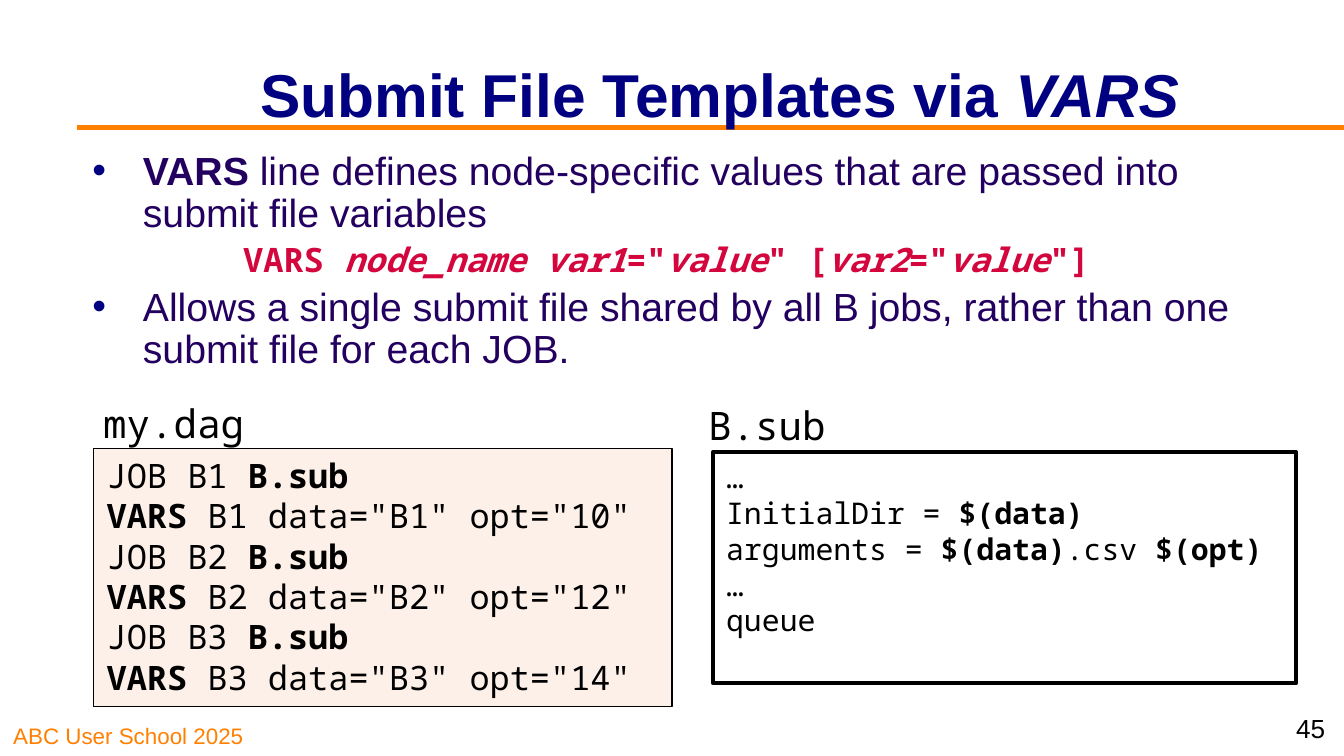
from lxml import etree
from pptx import Presentation
from pptx import util as u
from pptx.dml.color import RGBColor
from pptx.enum import shapes, text
from pptx.oxml import ns

PX = 4572
ORANGE = RGBColor(0xFF, 0x80, 0x00)
NAVY = RGBColor(0x00, 0x00, 0x80)
PURPLE = RGBColor(0x23, 0x00, 0x5F)
CRIMSON = RGBColor(0xD3, 0x06, 0x3E)
BLACK = RGBColor(0x00, 0x00, 0x00)
WHITE = RGBColor(0xFF, 0xFF, 0xFF)
CREAM = RGBColor(0xFD, 0xF0, 0xE9)
SANS, MONO = "Arial", "Noto Sans Mono"


def scale(*lengths):
    """Turn px lengths into EMU."""
    return [u.Emu(n * PX) for n in lengths]


def add_runs(p, runs, size, font, color):
    """Add (wording, style) runs, where the style holds b and i flags."""
    for wording, style in runs:
        r = p.add_run()
        r.text = wording
        r.font.size, r.font.name = u.Pt(size), font
        r.font.bold, r.font.italic = "b" in style, "i" in style
        r.font.color.rgb = color


def add_bullet(p):
    """Give a paragraph a navy hanging bullet."""
    pPr = p._p.get_or_add_pPr()
    indent = 75 * PX
    pPr.set("marL", str(indent))
    pPr.set("indent", str(-indent))
    clr = etree.SubElement(pPr, ns.qn("a:buClr"))
    etree.SubElement(clr, ns.qn("a:srgbClr")).set("val", str(NAVY))
    etree.SubElement(pPr, ns.qn("a:buFont")).set("typeface", SANS)
    etree.SubElement(pPr, ns.qn("a:buChar")).set("char", "•")


def add_label(s, box, wording, size, font, color, anchor=text.MSO_ANCHOR.TOP):
    """Place a one-line text box."""
    tf = s.shapes.add_textbox(*scale(*box)).text_frame
    tf.word_wrap = True
    tf.vertical_anchor = anchor
    add_runs(tf.paragraphs[0], [(wording, "")], size, font, color)


def add_title(s, box, runs):
    """Place the title over the rule that crosses its lower edge."""
    x, y, w, h = box
    rule_y = y + h - 43
    rule = s.shapes.add_connector(
        shapes.MSO_CONNECTOR.STRAIGHT, *scale(115, rule_y, 2000, rule_y))
    rule.line.color.rgb, rule.line.width = ORANGE, u.Pt(3)
    etree.SubElement(rule._element.spPr, ns.qn("a:effectLst"))
    sp = s.shapes.title
    sp.left, sp.top, sp.width, sp.height = scale(*box)
    rule._element.addnext(sp._element)
    tf = sp.text_frame
    tf.auto_size = text.MSO_AUTO_SIZE.NONE
    tf.vertical_anchor = text.MSO_ANCHOR.MIDDLE
    p = tf.paragraphs[0]
    p.alignment = text.PP_ALIGN.CENTER
    add_runs(p, runs, 32.4, SANS, NAVY)


def add_body(s, box, first, syntax, second):
    """Place two bullets with a centred line of syntax between them."""
    tf = s.shapes.add_textbox(*scale(*box)).text_frame
    tf.word_wrap = True
    rows = [(first, 21, SANS, PURPLE, 0), (syntax, 18, MONO, CRIMSON, 3.6),
            (second, 21, SANS, PURPLE, 4.2)]
    for i, (runs, size, font, color, before) in enumerate(rows):
        p = tf.add_paragraph() if i else tf.paragraphs[0]
        p.line_spacing, p.space_before = 0.9, u.Pt(before)
        if runs is syntax:
            p.alignment = text.PP_ALIGN.CENTER
        else:
            add_bullet(p)
        add_runs(p, runs, size, font, color)


def add_code(s, box, name, name_offset, lines, size, fill, weight):
    """Place a framed code listing with its file name above it."""
    x, y, w, h = box
    dx, dy, name_w = name_offset
    sp = s.shapes.add_shape(shapes.MSO_SHAPE.RECTANGLE, *scale(*box))
    sp.shadow.inherit = False
    sp.fill.solid()
    sp.fill.fore_color.rgb = fill
    sp.line.color.rgb, sp.line.width = BLACK, u.Pt(weight)
    tf = sp.text_frame
    tf.word_wrap = True
    tf.vertical_anchor = text.MSO_ANCHOR.TOP
    for i, runs in enumerate(lines):
        p = tf.add_paragraph() if i else tf.paragraphs[0]
        p.alignment = text.PP_ALIGN.LEFT
        add_runs(p, runs, size, MONO, BLACK)
    add_label(s, (x + dx, y + dy, name_w, 90), name, 21, MONO, BLACK)


def main():
    """Build and save the slide."""
    prs = Presentation()
    prs.slide_width, prs.slide_height = scale(2000, 1125)
    s = prs.slides.add_slide(prs.slide_layouts[5])
    add_label(s, (0, 1063, 496, 62), "ABC User School 2025", 12, SANS, ORANGE,
              text.MSO_ANCHOR.BOTTOM)
    add_title(s, (307, 45, 1528, 188),
              [("Submit File Templates via ", "b"), ("VARS", "bi")])
    add_body(
        s, (118, 216, 1748, 368),
        [("VARS", "b"), (" line defines node-specific values that are passed "
                         "into submit file variables", "")],
        [("VARS ", "b"), ("node_name var1", "bi"), ('="', "b"),
         ("value", "bi"), ('" [', "b"), ("var2", "bi"), ('="', "b"),
         ("value", "bi"), ('"]', "b")],
        [("Allows a single submit file shared by all B jobs, rather than one "
          "submit file for each JOB.", "")])
    add_code(
        s, (1061, 673, 868, 344), "B.sub", (-27, -85, 218),
        [[("…", "")],
         [("InitialDir = ", ""), ("$(data)", "b")],
         [("arguments = ", ""), ("$(data)", "b"), (".csv ", ""),
          ("$(opt)", "b")],
         [("…", "")],
         [("queue", "")]], 16, WHITE, 2)
    dag = []
    for node, opt in (("B1", 10), ("B2", 12), ("B3", 14)):
        dag.append([(f"JOB {node} ", ""), ("B.sub", "b")])
        dag.append([("VARS", "b"), (f' {node} data="{node}" opt="{opt}"', "")])
    add_code(s, (139, 667, 861, 384), "my.dag", (-5, -83, 252), dag, 18,
             CREAM, 0.75)
    add_label(s, (1909, 1050, 91, 75), "45", 14, SANS, BLACK)
    prs.save("out.pptx")


if __name__ == "__main__":
    main()
